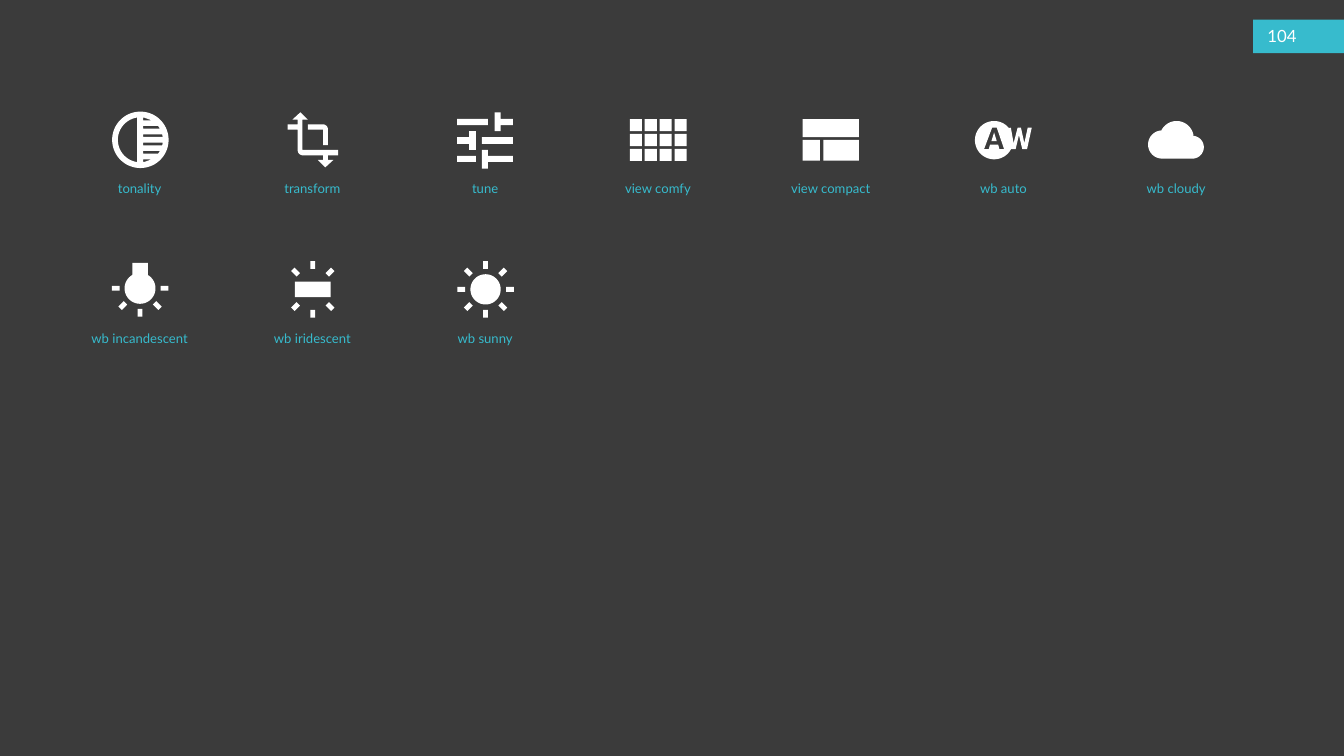
from math import cos, radians, sin, sqrt

from pptx import Presentation
from pptx.dml.color import RGBColor
from pptx.enum.shapes import MSO_SHAPE as SHAPE
from pptx.enum.text import MSO_ANCHOR as ANCHOR, MSO_AUTO_SIZE as AUTO, PP_ALIGN as ALIGN
from pptx.util import Cm, Pt

DARK, CYAN, WHITE = "3B3B3B", "37BBCD", "FFFFFF"
FONT = "Lato"
UNIT = 0.0254
COLUMNS = 7


def paint(fill, color):
    """Give a fill one solid colour."""
    fill.solid()
    fill.fore_color.rgb = RGBColor.from_string(color)


def rect(x, y, w, h):
    """Return the corners of an upright rectangle."""
    return [(x, y), (x + w, y), (x + w, y + h), (x, y + h)]


def arc(cx, cy, r, start, end):
    """Return points along an arc, with angles in degrees clockwise from the right."""
    steps = max(6, round(abs(end - start) / 5))
    angles = [radians(start + (end - start) * i / steps) for i in range(steps + 1)]
    return [(cx + r * cos(a), cy + r * sin(a)) for a in angles]


def rays(cx, cy, angles, inner=30.5, outer=42, half=3.6):
    """Return one small bar for each angle around a centre."""
    corners = [(inner, -half), (outer, -half), (outer, half), (inner, half)]
    turns = [(cos(radians(a)), sin(radians(a))) for a in angles]
    return [[(cx + u * c - v * s, cy + u * s + v * c) for u, v in corners]
            for c, s in turns]


def tonality():
    """Outline a ring whose right half is striped."""
    cx = cy = 42
    r = 33.5

    def edge(y):
        """Return the inner circle's right edge at a height."""
        return cx + sqrt(r * r - (y - cy) ** 2)

    tops = [9 + 12.4 * i for i in range(6)]
    stripes = [[(46, y), (edge(y), y), (edge(y + 4), y + 4), (46, y + 4)] for y in tops]
    return [arc(cx, cy, 42, 0, 360), arc(cx, cy, r, 98, 262)] + stripes


def transform():
    """Outline a crop frame with two arrows."""
    frame = [(79, 65), (79, 57), (26, 57), (26, 12), (34, 12), (23, 1), (11, 12),
             (19, 12), (19, 19), (4, 19), (4, 27), (19, 27)]
    frame += arc(26.5, 57.5, 7.5, 180, 90)
    frame += [(57, 65), (57, 72), (49, 72), (60, 83), (72, 72), (64, 72), (64, 65)]
    corner = [(34, 27), (57, 27), (57, 50), (64, 50)] + arc(56.5, 26.5, 7.5, 0, -90)
    return [frame, corner + [(34, 19), (34, 27)]]


def tune():
    """Outline three slider tracks with their knobs."""
    return [
        rect(-1, 11, 46, 9), rect(36, 38, 46, 10), rect(-1, 66, 28, 9),
        [(55, 29), (64, 29), (64, 20), (82, 20), (82, 11), (64, 11), (64, 1), (55, 1)],
        [(17, 29), (17, 38), (-1, 38), (-1, 48), (17, 48), (17, 57), (27, 57), (27, 29)],
        [(45, 85), (45, 75), (82, 75), (82, 66), (45, 66), (45, 57), (36, 57), (36, 85)],
    ]


def view_comfy():
    """Outline a grid of four by three squares."""
    return [rect(-1 + 22.2 * i, 11 + 22.2 * j, 18, 18) for j in range(3) for i in range(4)]


def view_compact():
    """Outline a wide panel over two smaller ones."""
    return [rect(-1, 11, 84, 27), rect(-1, 42, 26, 31), rect(30, 42, 53, 31)]


def wb_auto():
    """Outline a disc with a cut-out A, joined to a W."""
    disc = [(83, 24), (77, 24), (72, 47), (67, 24), (62, 24), (56, 47), (52, 24)]
    disc += arc(27, 42.5, 28.5, -40, -333)
    disc += [(53, 56), (59, 56), (64, 35), (69, 56), (76, 56)]
    letter = [(35, 56), (33, 49), (21, 49), (19, 56), (12, 56), (24, 24), (31, 24), (42, 56)]
    return [disc, letter, [(23, 44), (31, 44), (27, 31)]]


def wb_cloudy():
    """Outline a cloud from three arcs."""
    return [arc(41.5, 39.5, 25.5, -10, -155) + arc(20, 49, 21, -95, -270)
            + arc(65, 53, 17, 90, -87)]


def wb_incandescent():
    """Outline a hanging bulb with five rays."""
    bulb = [(30, 3), (53, 3)] + arc(41.5, 41, 23, -60, 240)
    return [bulb] + rays(41.5, 41, range(0, 181, 45))


def wb_iridescent():
    """Outline a lamp bar with rays above and below."""
    angles = [a for a in range(0, 360, 45) if a % 180]
    return [rect(15, 31, 53, 23)] + rays(41.5, 42.5, angles)


def wb_sunny():
    """Outline a sun with eight rays."""
    return [arc(41.5, 42.5, 22.5, 0, 360)] + rays(41.5, 42.5, range(0, 360, 45))


ICONS = [
    ("tonality", tonality), ("transform", transform), ("tune", tune),
    ("view comfy", view_comfy), ("view compact", view_compact),
    ("wb auto", wb_auto), ("wb cloudy", wb_cloudy),
    ("wb incandescent", wb_incandescent), ("wb iridescent", wb_iridescent),
    ("wb sunny", wb_sunny),
]


def add_text(s, text, x, y, w, h, size, color, align=ALIGN.LEFT):
    """Add a one-run text box and return its text frame."""
    tf = s.shapes.add_textbox(Cm(x), Cm(y), Cm(w), Cm(h)).text_frame
    tf.word_wrap = True
    p = tf.paragraphs[0]
    p.alignment = align
    r = p.add_run()
    r.text = text
    r.font.name, r.font.size = FONT, Pt(size)
    r.font.color.rgb = RGBColor.from_string(color)
    return tf


def add_solid(sp, color):
    """Strip a shape's line and shadow and fill it."""
    sp.shadow.inherit = False
    sp.line.fill.background()
    paint(sp.fill, color)


def add_icon(s, outlines, x, y):
    """Draw an icon's outlines as one freeform from its top left corner."""
    paths = [[(Cm(u * UNIT), Cm(v * UNIT)) for u, v in o] for o in outlines]
    fb = s.shapes.build_freeform(*paths[0][0])
    for i, points in enumerate(paths):
        if i:
            fb.move_to(*points[0])
        fb.add_line_segments(points[1:], close=True)
    add_solid(fb.convert_to_shape(Cm(x), Cm(y)), WHITE)


def add_icon_cell(s, label, outlines, x, y, w):
    """Place an icon and its centred label in a cell."""
    add_icon(s, outlines, x + 2.49, y)
    tf = add_text(s, label, x, y + 2.49, w, 0.86, 14, CYAN, ALIGN.CENTER)
    tf.auto_size = AUTO.SHAPE_TO_FIT_TEXT


def add_page_tab(s, number, x, y, w, h):
    """Place the page number on its coloured tab."""
    sp = s.shapes.add_shape(SHAPE.RECTANGLE, Cm(x), Cm(y), Cm(w), Cm(h))
    add_solid(sp, CYAN)
    tf = add_text(s, number, x + 0.28, y - 0.03, w / 2, h, 18, WHITE)
    tf.vertical_anchor = ANCHOR.MIDDLE


def main():
    """Build the icon sheet and save it."""
    prs = Presentation()
    prs.slide_width, prs.slide_height = Cm(50.8), Cm(28.58)
    s = prs.slides.add_slide(prs.slide_layouts[6])
    paint(s.background.fill, DARK)
    add_page_tab(s, "104", 47.37, 0.74, 3.43, 1.27)
    for i, (label, outline) in enumerate(ICONS):
        row, col = divmod(i, COLUMNS)
        add_icon_cell(s, label, outline(), 1.75 + 6.53 * col, 4.22 + 5.64 * row, 7.06)
    prs.save("out.pptx")


if __name__ == "__main__":
    main()
